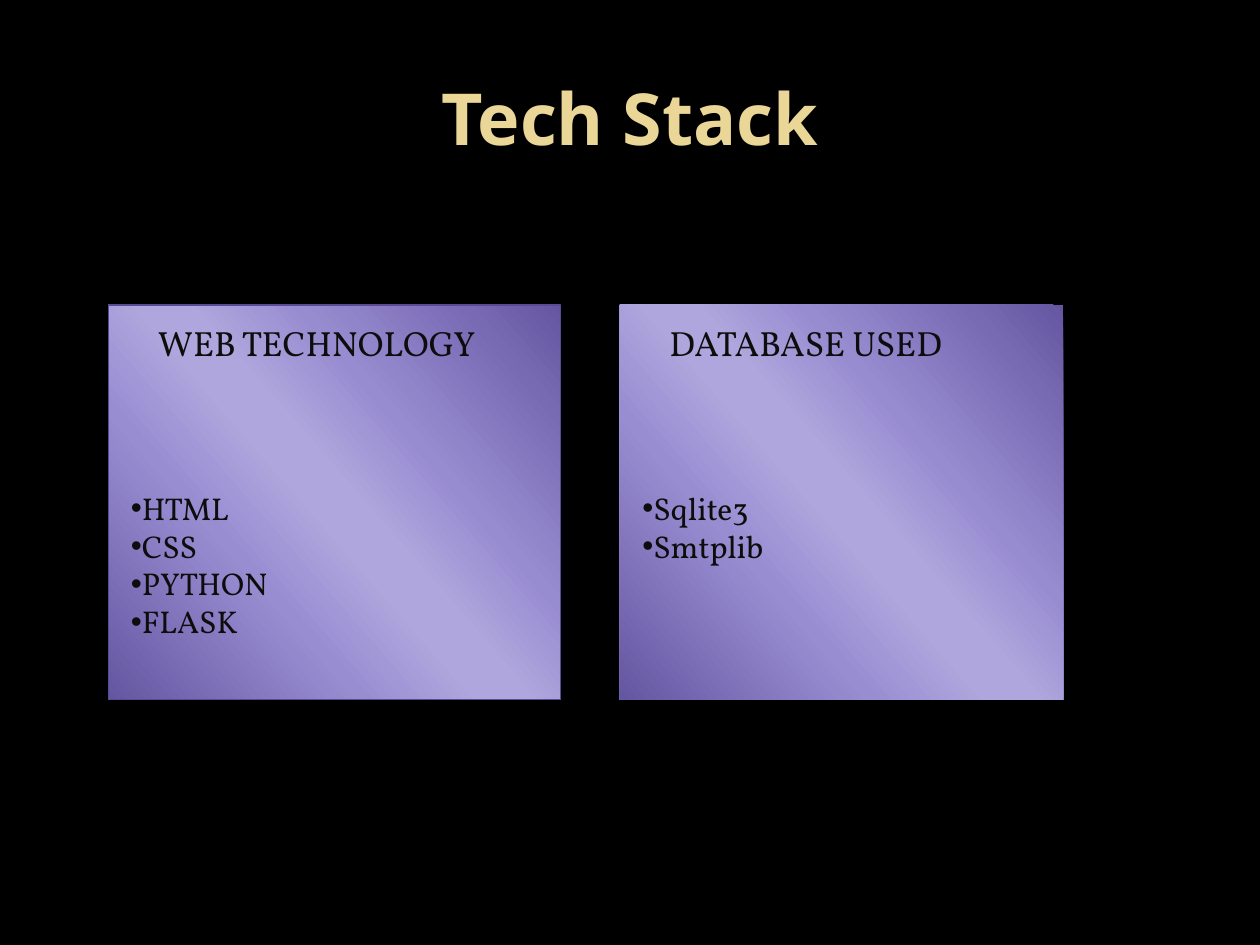
from dataclasses import dataclass
from typing import Optional

from lxml.etree import SubElement
from pptx import Presentation
from pptx.dml.color import RGBColor
from pptx.enum.shapes import MSO_SHAPE
from pptx.enum.text import MSO_ANCHOR, PP_ALIGN
from pptx.oxml import parse_xml
from pptx.oxml.ns import nsdecls, qn
from pptx.util import Pt

BLACK = RGBColor(0x00, 0x00, 0x00)
GOLD = RGBColor(0xEA, 0xD6, 0x96)
INK = RGBColor(0x0D, 0x0D, 0x0D)
DARK_VIOLET = RGBColor(0x65, 0x56, 0xA1)
VIOLET = RGBColor(0x98, 0x8C, 0xD1)
LILAC = RGBColor(0xAF, 0xA6, 0xDD)
SOFT_VIOLET = RGBColor(0x99, 0x8D, 0xD2)
EDGE_VIOLET = RGBColor(0x5A, 0x4A, 0x96)

CARD_GRADIENT = [(0, DARK_VIOLET), (33, VIOLET), (47, LILAC),
                 (53, LILAC), (68, SOFT_VIOLET), (100, DARK_VIOLET)]
CARD_ANGLE = 139
CARD_TOP, CARD_HEIGHT = 174.25, 225.5
TEXT_INSET = 5.8
HEADING_TOP, HEADING_HEIGHT = 180, 31.5
ITEMS_TOP, ITEM_HEIGHT = 275.8, 21.6


@dataclass
class Card:
    left: float
    width: float
    heading: str
    items: list[str]
    edge: Optional[RGBColor] = None


CARDS = [
    Card(61.9, 258.5, "WEB TECHNOLOGY", ["HTML", "CSS", "PYTHON", "FLASK"], EDGE_VIOLET),
    Card(354.2, 253.4, "DATABASE USED", ["Sqlite3", "Smtplib"]),
]


def add_text(slide, left: float, top: float, width: float, height: float,
             lines: list[str], size: float, font: str = "Vollkorn",
             color: RGBColor = INK, bold: bool = False):
    """Add a wrapped text box with one paragraph per line."""
    box = slide.shapes.add_textbox(Pt(left), Pt(top), Pt(width), Pt(height))
    frame = box.text_frame
    frame.word_wrap = True
    frame.text = "\n".join(lines)
    for para in frame.paragraphs:
        for span in para.runs:
            span.font.name = font
            span.font.size = Pt(size)
            span.font.bold = bold
            span.font.color.rgb = color
    return frame


def fill_with_gradient(shape) -> None:
    """Give the shape the six-stop card gradient, running clockwise from the right."""
    stops = "".join(f'<a:gs pos="{position * 1000}"><a:srgbClr val="{color}"/></a:gs>'
                    for position, color in CARD_GRADIENT)
    gradient = parse_xml(
        f'<a:gradFill {nsdecls("a")} rotWithShape="1"><a:gsLst>{stops}</a:gsLst>'
        f'<a:lin ang="{CARD_ANGLE * 60000}" scaled="0"/></a:gradFill>')
    shape.fill.solid()
    properties = shape.element.spPr
    properties.replace(properties.find(qn("a:solidFill")), gradient)


def add_card(slide, card: Card) -> None:
    panel = slide.shapes.add_shape(MSO_SHAPE.RECTANGLE, Pt(card.left), Pt(CARD_TOP),
                                   Pt(card.width), Pt(CARD_HEIGHT))
    panel.shadow.inherit = False
    fill_with_gradient(panel)
    if card.edge is None:
        panel.line.fill.background()
    else:
        panel.line.color.rgb = card.edge
        panel.line.width = Pt(0.75)

    text_left = card.left + TEXT_INSET
    text_width = card.width - 2 * TEXT_INSET
    heading = add_text(slide, text_left, HEADING_TOP, text_width, HEADING_HEIGHT,
                       [card.heading], 20)
    heading.paragraphs[0]._p.get_or_add_pPr().set("marL", str(Pt(15.5)))

    items = add_text(slide, text_left, ITEMS_TOP, text_width,
                     len(card.items) * ITEM_HEIGHT + 7.2, card.items, 18)
    for para in items.paragraphs:
        properties = para._p.get_or_add_pPr()
        SubElement(properties, qn("a:buFont"), typeface="Arial")
        SubElement(properties, qn("a:buChar"), char="•")


def main() -> None:
    deck = Presentation()
    deck.slide_width, deck.slide_height = Pt(720), Pt(540)
    slide = deck.slides.add_slide(deck.slide_layouts[6])
    slide.background.fill.solid()
    slide.background.fill.fore_color.rgb = BLACK

    title = add_text(slide, 36, 21.6, 648, 90, ["Tech Stack"], 41, "Open Sans", GOLD, True)
    title.vertical_anchor = MSO_ANCHOR.MIDDLE
    title.paragraphs[0].alignment = PP_ALIGN.CENTER

    for card in CARDS:
        add_card(slide, card)
    deck.save("out.pptx")


if __name__ == "__main__":
    main()
